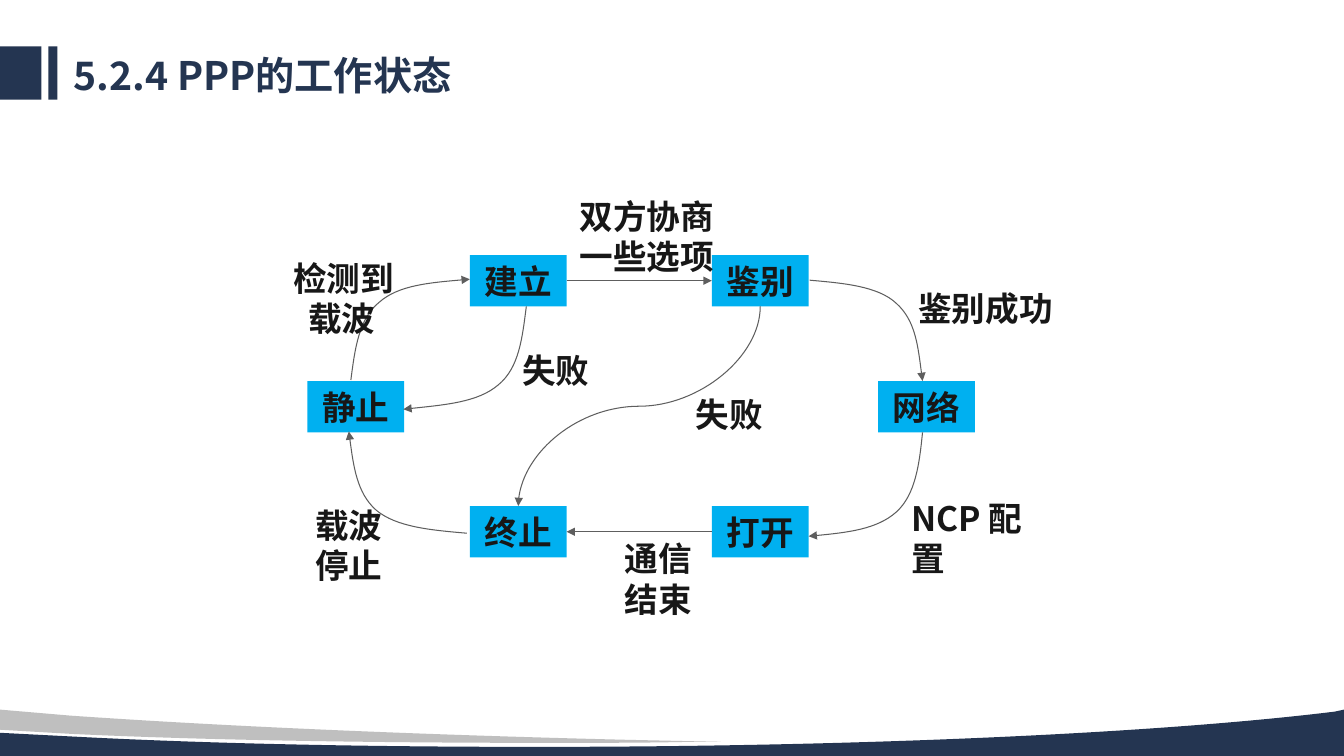
from dataclasses import dataclass

from pptx import Presentation
from pptx.dml.color import RGBColor
from pptx.enum.shapes import MSO_CONNECTOR, MSO_SHAPE
from pptx.enum.text import MSO_ANCHOR, MSO_AUTO_SIZE, PP_ALIGN
from pptx.oxml.ns import qn
from pptx.oxml.xmlchemy import OxmlElement
from pptx.util import Pt

PX = 9144  # 100 px to the inch
RECTANGLE = MSO_SHAPE.RECTANGLE
STRAIGHT, CURVE = MSO_CONNECTOR.STRAIGHT, MSO_CONNECTOR.CURVE
TOP, LEFT, BOTTOM, RIGHT = range(4)
TITLE_ONLY = 5
QUARTER_TURN = 90 * 60000


@dataclass(frozen=True)
class Theme:
    navy: RGBColor = RGBColor(0x24, 0x35, 0x51)
    grey: RGBColor = RGBColor(0xBF, 0xBF, 0xBF)
    state: RGBColor = RGBColor(0x00, 0xB0, 0xF0)
    ink: RGBColor = RGBColor(0x17, 0x17, 0x17)
    arrow: RGBColor = RGBColor(0x5E, 0x5E, 0x5E)
    arrow_width: Pt = Pt(0.75)
    title_size: Pt = Pt(28)
    label_size: Pt = Pt(24)
    title_font: str = "Noto Sans CJK SC"
    label_font: str = "Noto Sans CJK JP"


THEME = Theme()
TITLE_FORMAT = {"name": THEME.title_font, "size": THEME.title_size, "bold": True}
LABEL_FORMAT = {"name": THEME.label_font, "size": THEME.label_size, "bold": True}

STATE_SIZE = (96, 51)
STATES = {
    "建立": (466, 253), "网络": (871, 378), "鉴别": (706, 253),
    "打开": (706, 502), "终止": (466, 502), "静止": (305, 378),
}
STRAIGHT_MOVES = [("建立", RIGHT, "鉴别", LEFT), ("打开", LEFT, "终止", RIGHT)]
# Start point, two control points, end point
BENT_MOVES = [
    [(348, 377), (356, 316), (360, 282), (466, 277)],
    [(803, 278), (905, 286), (907, 316), (915, 378)],
    [(915, 429), (907, 491), (905, 524), (802, 532)],
    [(463, 529), (358, 520), (354, 490), (346, 428)],
    [(522, 304), (514, 366), (510, 397), (400, 406)],
]
BENDS = [
    [(348, 377), (352, 346), (356, 316), (376, 300), (395, 283), (431, 280), (466, 277)],
    [(803, 278), (837, 281), (871, 284), (889, 301), (908, 318), (911, 348), (915, 378)],
    [(915, 429), (912, 460), (908, 491), (889, 508), (870, 525), (836, 529), (802, 532)],
    [(463, 529), (428, 526), (393, 523), (373, 506), (354, 489), (350, 458), (346, 428)],
    [(522, 304), (518, 335), (515, 365), (494, 382), (474, 399), (437, 402), (400, 406)],
]
# Lines, left, top, width, height, indent of the last line, wrapped
LABELS = [
    (["失败"], (680, 386, 87, 50), 0, False),
    (["失败"], (508, 342, 87, 50), 0, False),
    (["NCP 配置"], (894, 489, 154, 50), 0, True),
    (["鉴别成功"], (901, 281, 154, 50), 0, False),
    (["通信", "结束"], (610, 529, 87, 91), 0, False),
    (["载波", "停止"], (303, 496, 87, 91), 0, False),
    (["检测到", "载波"], (281, 251, 121, 91), 15, False),
    (["双方协商", "一些选项"], (565, 189, 154, 91), 0, False),
]
NAVY_WAVE = [
    [(1333, 704)], [(1333, 750)], [(0, 750)], [(0, 727)], [(77, 731)],
    [(212, 738), (367, 741), (532, 741)], [(862, 741), (1153, 727), (1324, 706)],
]
GREY_WAVE = [
    [(0, 704)], [(70, 710)], [(229, 721), (417, 729), (622, 734)], [(715, 736)],
    [(684, 736)], [(640, 737), (594, 737), (548, 737)],
    [(361, 737), (192, 734), (69, 728)], [(0, 724)],
]


def px(*lengths):
    return [length * PX for length in lengths]


def write(para, text, formats, color):
    span = para.add_run()
    span.text = text
    for name, value in formats.items():
        setattr(span.font, name, value)
    span.font.color.rgb = color
    east_asian = OxmlElement("a:ea")
    east_asian.set("typeface", formats["name"])
    span.font._element.append(east_asian)


def paint(shape, color):
    shape.shadow.inherit = False
    shape.fill.solid()
    shape.fill.fore_color.rgb = color
    shape.line.fill.background()


def style_arrow(shape):
    shape.line.color.rgb = THEME.arrow
    shape.line.width = THEME.arrow_width
    head = OxmlElement("a:tailEnd")
    head.set("type", "triangle")
    shape._element.spPr.find(qn("a:ln")).append(head)


def add_title(page, text):
    title = page.shapes.title
    title.left, title.top, title.width, title.height = px(63, 51, 998, 52)
    frame = title.text_frame
    frame.auto_size = MSO_AUTO_SIZE.NONE
    frame.vertical_anchor = MSO_ANCHOR.MIDDLE
    para = frame.paragraphs[0]
    para.alignment = PP_ALIGN.LEFT
    para.line_spacing = 0.9
    write(para, text, TITLE_FORMAT, THEME.navy)


def add_block(page, left, top, width, height, color):
    box = page.shapes.add_shape(RECTANGLE, *px(left, top, width, height))
    paint(box, color)
    return box


def add_state(page, name, left, top):
    box = add_block(page, left, top, *STATE_SIZE, THEME.state)
    frame = box.text_frame
    frame.word_wrap = False
    frame.vertical_anchor = MSO_ANCHOR.MIDDLE
    para = frame.paragraphs[0]
    para.alignment = PP_ALIGN.CENTER
    write(para, name, LABEL_FORMAT, THEME.ink)
    return box


def add_outline(page, steps, close):
    """Draw steps of one point as lines and steps of three points as Bézier curves."""
    (start,), *rest = steps
    builder = page.shapes.build_freeform(*start, scale=PX)
    builder.add_line_segments([point for step in rest for point in step], close=close)
    outline = builder.convert_to_shape()
    segments = iter(outline._element.xpath(".//a:lnTo"))
    for step in rest:
        parts = [next(segments) for _ in step]
        if len(parts) == 3:
            curve = OxmlElement("a:cubicBezTo")
            parts[0].addprevious(curve)
            for part in parts:
                curve.append(part[0])
                part.getparent().remove(part)
    return outline


def add_bend(page, points):
    bend = add_outline(page, [points[:1], points[1:4], points[4:]], close=False)
    bend.shadow.inherit = False
    bend.fill.background()
    style_arrow(bend)


def add_move(page, kind, source, source_side, target, target_side):
    move = page.shapes.add_connector(kind, 0, 0, 0, 0)
    move.begin_connect(source, source_side)
    move.end_connect(target, target_side)
    style_arrow(move)
    move._element.spPr.append(OxmlElement("a:effectLst"))
    return move


def turn_upright(move):
    """Make a curve that runs down to the left leave and arrive vertically."""
    middle_x = move.left + move.width // 2
    middle_y = move.top + move.height // 2
    width, height = move.height, move.width
    move.left, move.top = middle_x - width // 2, middle_y - height // 2
    move.width, move.height = width, height
    frame = move._element.spPr.find(qn("a:xfrm"))
    frame.attrib.pop("flipH", None)
    frame.set("rot", str(QUARTER_TURN))


def add_label(page, lines, place, last_indent, wrapped):
    frame = page.shapes.add_textbox(*px(*place)).text_frame
    frame.word_wrap = wrapped
    for number, line in enumerate(lines):
        para = frame.add_paragraph() if number else frame.paragraphs[0]
        write(para, line, LABEL_FORMAT, THEME.ink)
    if last_indent:
        para._p.get_or_add_pPr().set("marL", str(last_indent * PX))


def main():
    deck = Presentation()
    deck.slide_width, deck.slide_height = px(1333, 750)
    page = deck.slides.add_slide(deck.slide_layouts[TITLE_ONLY])
    for left, width in [(0, 41), (48, 9)]:
        add_block(page, left, 46, width, 53, THEME.navy)
    for wave, color in [(NAVY_WAVE, THEME.navy), (GREY_WAVE, THEME.grey)]:
        paint(add_outline(page, wave, close=True), color)
    add_title(page, "5.2.4 PPP的工作状态")
    boxes = {name: add_state(page, name, *corner) for name, corner in STATES.items()}
    for points in BENDS:
        add_bend(page, points)
    for source, source_side, target, target_side in STRAIGHT_MOVES:
        add_move(page, STRAIGHT, boxes[source], source_side, boxes[target], target_side)
    turn_upright(add_move(page, CURVE, boxes["鉴别"], BOTTOM, boxes["终止"], TOP))
    for label in LABELS:
        add_label(page, *label)
    deck.save("out.pptx")


if __name__ == "__main__":
    main()
